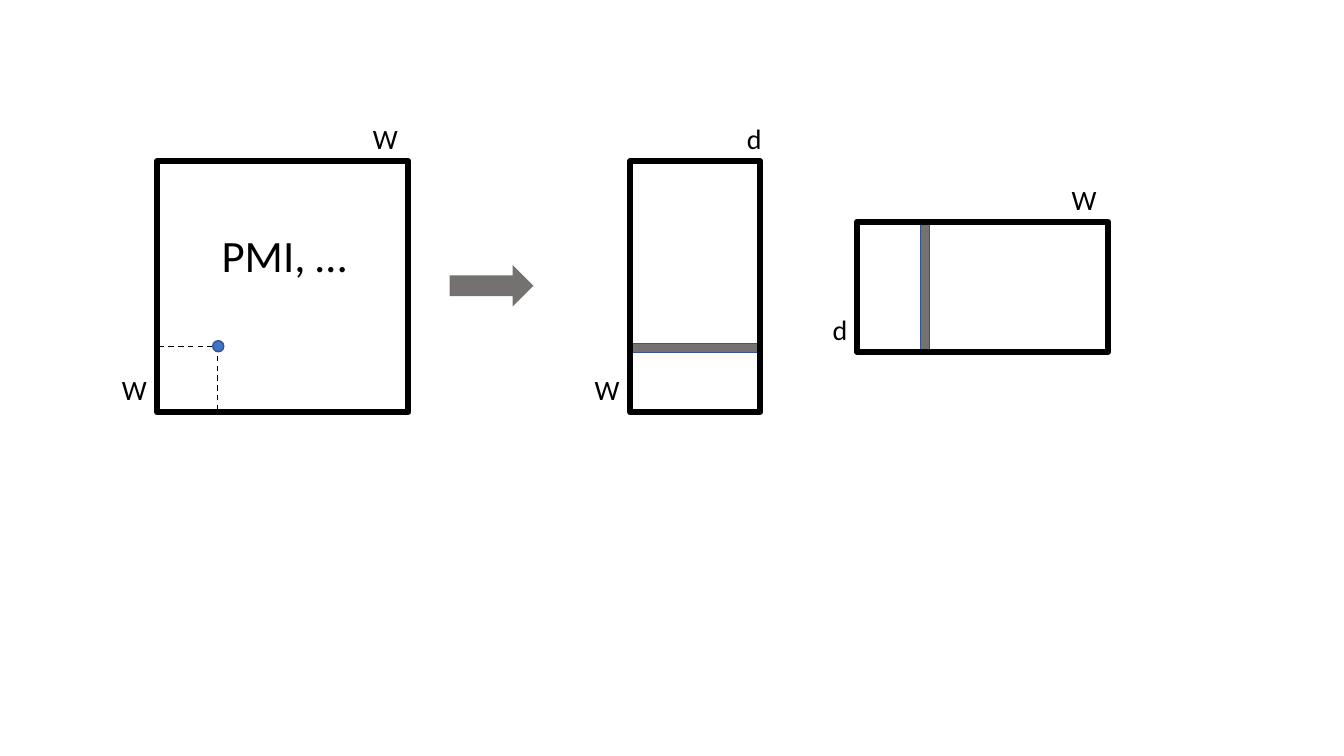
"""Draw a word matrix factorised into two thin matrices of width d."""
from pptx import Presentation
from pptx import util as u
from pptx.dml.color import RGBColor
from pptx.enum import dml, shapes, text

COLORS = {"black": "000000", "gray": "767171", "blue": "4472C4", "edge": "325491"}
SHAPE = shapes.MSO_SHAPE
SIDE, DEPTH, BAND = 2.49, 1.29, 0.09
TOP = 1.6


def color(name):
    """Return the named colour."""
    return RGBColor.from_string(COLORS[name])


def add_figure(s, kind, box, fill=None, line=None, width=1, dash=None, rotation=0):
    """Add a preset shape with an optional fill and outline."""
    sp = s.shapes.add_shape(kind, *map(u.Inches, box))
    sp.shadow.inherit = False
    sp.rotation = rotation
    if fill:
        sp.fill.solid()
        sp.fill.fore_color.rgb = color(fill)
    else:
        sp.fill.background()
    if line:
        sp.line.color.rgb = color(line)
        sp.line.width = u.Pt(width)
        sp.line.dash_style = dash
    else:
        sp.line.fill.background()


def add_matrix(s, left, width, rotation=0):
    """Add the thick frame of a matrix."""
    add_figure(s, SHAPE.RECTANGLE, (left, TOP, width, SIDE),
               line="black", width=4.5, rotation=rotation)


def add_band(s, left, top, rotation=0):
    """Add the gray vector highlighted in a matrix."""
    add_figure(s, SHAPE.RECTANGLE, (left, top, DEPTH, BAND),
               fill="gray", line="edge", rotation=rotation)


def add_label(s, words, left, top, width, height=0.44, size=20):
    """Add an unwrapped text label."""
    tf = s.shapes.add_textbox(*map(u.Inches, (left, top, width, height))).text_frame
    tf.word_wrap = False
    tf.auto_size = text.MSO_AUTO_SIZE.SHAPE_TO_FIT_TEXT
    r = tf.paragraphs[0].add_run()
    r.text = words
    r.font.size = u.Pt(size)
    r.font.name = "Calibri"
    r.font.color.rgb = color("black")


def main():
    """Build and save the slide."""
    prs = Presentation()
    prs.slide_width, prs.slide_height = u.Inches(13.33), u.Inches(7.5)
    s = prs.slides.add_slide(prs.slide_layouts[6])

    add_figure(s, SHAPE.RECTANGLE, (1.56, 3.44, 0.6, 0.65),
               line="black", dash=dml.MSO_LINE.DASH)
    add_band(s, 8.53, 2.8, rotation=90)
    add_band(s, 6.25, 3.41)
    add_matrix(s, 1.56, SIDE)
    add_figure(s, SHAPE.RIGHT_ARROW, (4.46, 2.63, 0.83, 0.41), fill="gray")
    add_matrix(s, 6.25, DEPTH)
    add_matrix(s, 9.1, DEPTH, rotation=90)

    for left, top in ((1.11, 3.65), (3.6, 1.16), (5.8, 3.65), (10.53, 1.76)):
        add_label(s, "W", left, top, 0.45)
    for left, top in ((7.31, 1.16), (8.16, 3.05)):
        add_label(s, "d", left, top, 0.35)

    add_figure(s, SHAPE.OVAL, (2.11, 3.38, 0.11, 0.11), fill="blue", line="edge")
    add_label(s, "PMI, …", 2.1, 2.21, 1.46, 0.64, size=32)
    prs.save("out.pptx")


if __name__ == "__main__":
    main()
